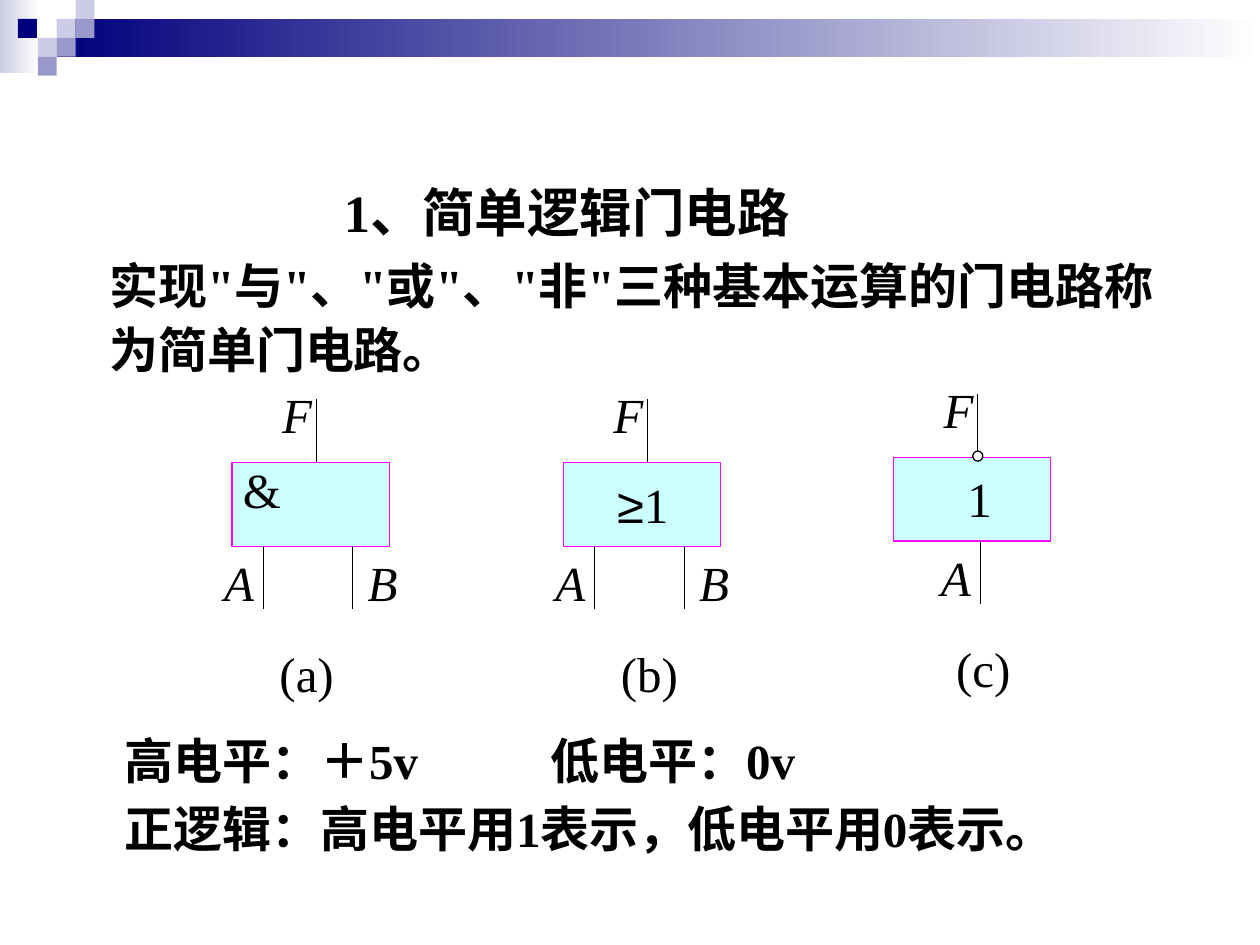
from lxml.etree import SubElement
from pptx import Presentation
from pptx.dml.color import RGBColor
from pptx.enum.shapes import MSO_CONNECTOR as Link, MSO_SHAPE as Preset
from pptx.enum.text import MSO_AUTO_SIZE as AutoSize, PP_ALIGN as Align
from pptx.oxml.ns import qn
from pptx.util import Inches, Pt

NAVY = RGBColor(0x00, 0x00, 0x7D)
LILAC = RGBColor(0x99, 0x99, 0xCC)
PALE_LILAC = RGBColor(0xCC, 0xCC, 0xE6)
AQUA = RGBColor(0xCC, 0xFF, 0xFF)
MAGENTA = RGBColor(0xFF, 0x00, 0xFF)
WHITE = RGBColor(0xFF, 0xFF, 0xFF)
BLACK = RGBColor(0x00, 0x00, 0x00)

COLUMNS, ROWS = 100, 75
GATE_WIDTH, GATE_HEIGHT, LEAD = 12.5, 6.65, 5
OUTPUT_X = 6.7
LABEL_HEIGHT = 5.7


class LogicSlide:
    """Draws on one slide; every length is in columns and rows of the grid."""

    font = "Times New Roman"
    symbol_font = "Arial"
    size = Pt(28)
    line_width = Pt(0.75)

    def __init__(self, deck):
        self.slide = deck.slides.add_slide(deck.slide_layouts[6])
        self.column = deck.slide_width / COLUMNS
        self.row = deck.slide_height / ROWS

    def place(self, *lengths):
        """Turn alternating column and row counts into slide lengths."""
        return [round(n * (self.row if i % 2 else self.column))
                for i, n in enumerate(lengths)]

    def block(self, x, y, width, height, fill, outline=None, preset=Preset.RECTANGLE):
        shape = self.slide.shapes.add_shape(preset, *self.place(x, y, width, height))
        shape.shadow.inherit = False
        shape.fill.solid()
        shape.fill.fore_color.rgb = fill
        if outline is None:
            shape.line.fill.background()
        else:
            shape.line.color.rgb = outline
            shape.line.width = self.line_width
        return shape

    def fade(self, x, y, width, height, start):
        """Add a block that fades to white from left to right."""
        fill = self.block(x, y, width, height, start).fill
        fill.gradient()
        fill.gradient_angle = 0
        for stop, color, position in zip(fill.gradient_stops, (start, WHITE), (0, 1)):
            stop.color.rgb = color
            stop.position = position

    def lead(self, x, y):
        """Add a vertical wire that rises from its lower end to row y."""
        wire = self.slide.shapes.add_connector(
            Link.STRAIGHT, *self.place(x, y + LEAD, x, y))
        wire.line.color.rgb = BLACK
        wire.line.width = self.line_width
        SubElement(wire._element.spPr, qn("a:effectLst"))

    def style(self, run, size=None, bold=False, italic=False):
        run.font.name = self.symbol_font if run.text == "≥" else self.font
        run.font.size = size or self.size
        run.font.bold = bold
        run.font.italic = italic
        run.font.color.rgb = BLACK

    def text(self, x, y, width, height, *lines, wrap=False, spacing=None, tab=None, **look):
        """Add a text box; each line is a string or a tuple of run texts."""
        box = self.slide.shapes.add_textbox(*self.place(x, y, width, height))
        frame = box.text_frame
        frame.word_wrap = wrap
        frame.auto_size = AutoSize.SHAPE_TO_FIT_TEXT
        for number, line in enumerate(lines):
            paragraph = frame.add_paragraph() if number else frame.paragraphs[0]
            paragraph.alignment = Align.LEFT
            paragraph.line_spacing = spacing
            if tab:
                stops = SubElement(paragraph._p.get_or_add_pPr(), qn("a:tabLst"))
                SubElement(stops, qn("a:tab"), pos=str(self.place(tab)[0]), algn="l")
            for part in (line,) if isinstance(line, str) else line:
                run = paragraph.add_run()
                run.text = part
                self.style(run, **look)

    def label(self, x, y, width, content, italic=False):
        self.text(x, y, width, LABEL_HEIGHT, content, italic=italic)

    def gate(self, x, y, symbol, inputs, caption, inverted=False):
        """Add a gate; symbol and caption are (text, dx, dy, width),
        inputs are (name, wire dx, name dx)."""
        bottom = y + GATE_HEIGHT
        self.block(x, y, GATE_WIDTH, GATE_HEIGHT, AQUA, MAGENTA)
        self.lead(x + OUTPUT_X, y - LEAD)
        self.label(x + 3, y - 6.7, 4.4, "F", italic=True)
        for name, wire_x, name_x in inputs:
            self.lead(x + wire_x, bottom)
            self.label(x + name_x, bottom, 4.4, name, italic=True)
        for content, dx, dy, width in (symbol, caption):
            self.label(x + dx, y + dy, width, content)
        if inverted:
            self.block(x + OUTPUT_X - 0.4, y - 0.5, 0.8, 0.8, WHITE, BLACK, Preset.OVAL)


def draw_header(page):
    page.fade(0, 0, 3.1, 5.8, PALE_LILAC)
    page.fade(4.5, 1.5, 95.5, 3, NAVY)
    tile = 1.5
    mosaic = [(3, 1, PALE_LILAC), (4, 0, PALE_LILAC), (4, 1, LILAC),
              (2, 2, PALE_LILAC), (0.95, 1, NAVY), (3, 2, LILAC), (2, 3, LILAC)]
    for column, row, color in mosaic:
        page.block(column * tile, row * tile, tile, tile, color)


def main():
    deck = Presentation()
    deck.slide_width, deck.slide_height = Inches(10), Inches(7.5)
    page = LogicSlide(deck)
    draw_header(page)

    page.text(26.3, 13.8, 42.9, 6, "1、简单逻辑门电路", wrap=True, size=Pt(30), bold=True)
    page.text(7.7, 19.3, 85, 11.3,
              "实现\"与\"、\"或\"、\"非\"三种基本运算的门电路称为简单门电路。",
              wrap=True, spacing=1.1, bold=True)

    pair = [("A", 2.5, -1.6), ("B", 9.6, 9.8)]
    page.gate(18.4, 36.7, ("&", -0.1, -0.7, 5), pair, ("(a)", 2.8, 13.9, 6.3))
    page.gate(44.7, 36.7, (("≥", "1"), 3.3, 0.5, 7), pair, ("(b)", 3.6, 13.9, 6.5))
    page.gate(70.9, 36.3, ("1", 4.9, 0.4, 3.9), [("A", 6.9, 2.8)],
              ("(c)", 4, 13.9, 6.3), inverted=True)

    page.text(8.9, 56.8, 79.5, 11.8, "高电平：＋5v\t低电平：0v",
              "正逻辑：高电平用1表示，低电平用0表示。", spacing=1.15, tab=33.8, bold=True)
    deck.save("out.pptx")


if __name__ == "__main__":
    main()
